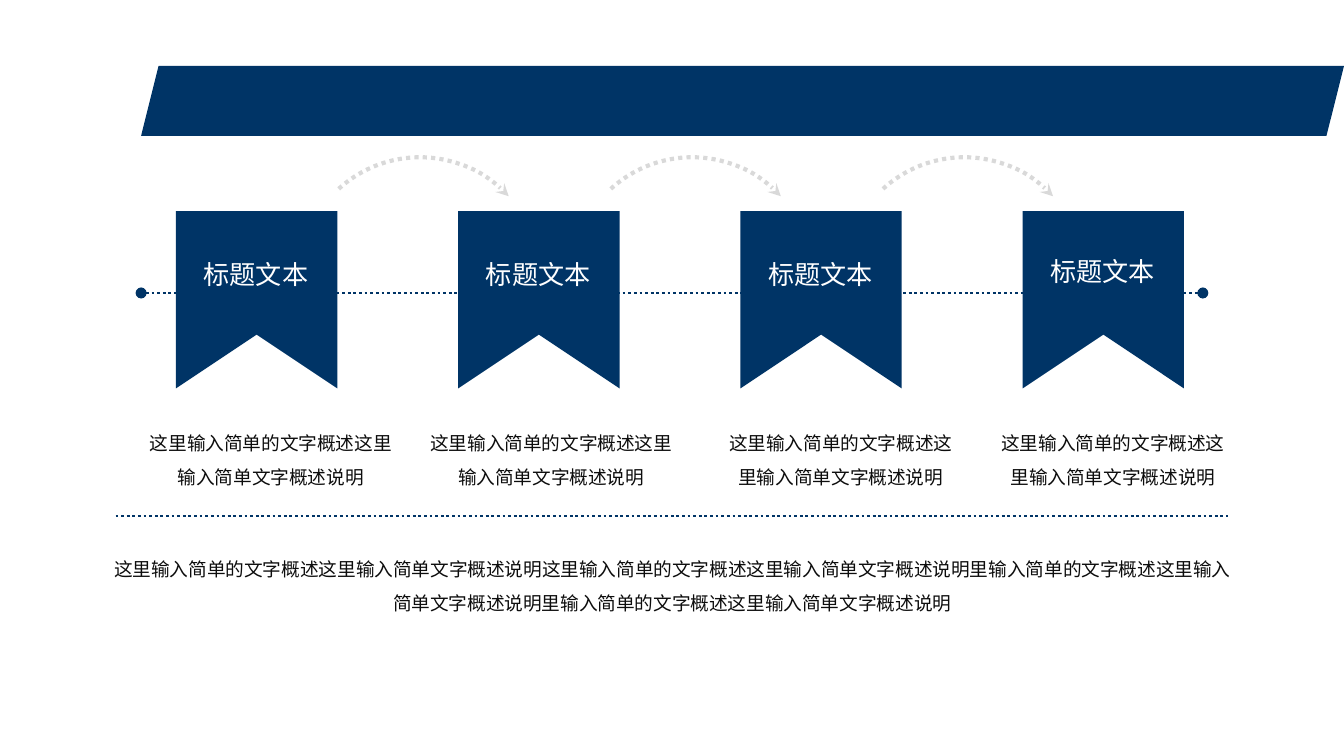
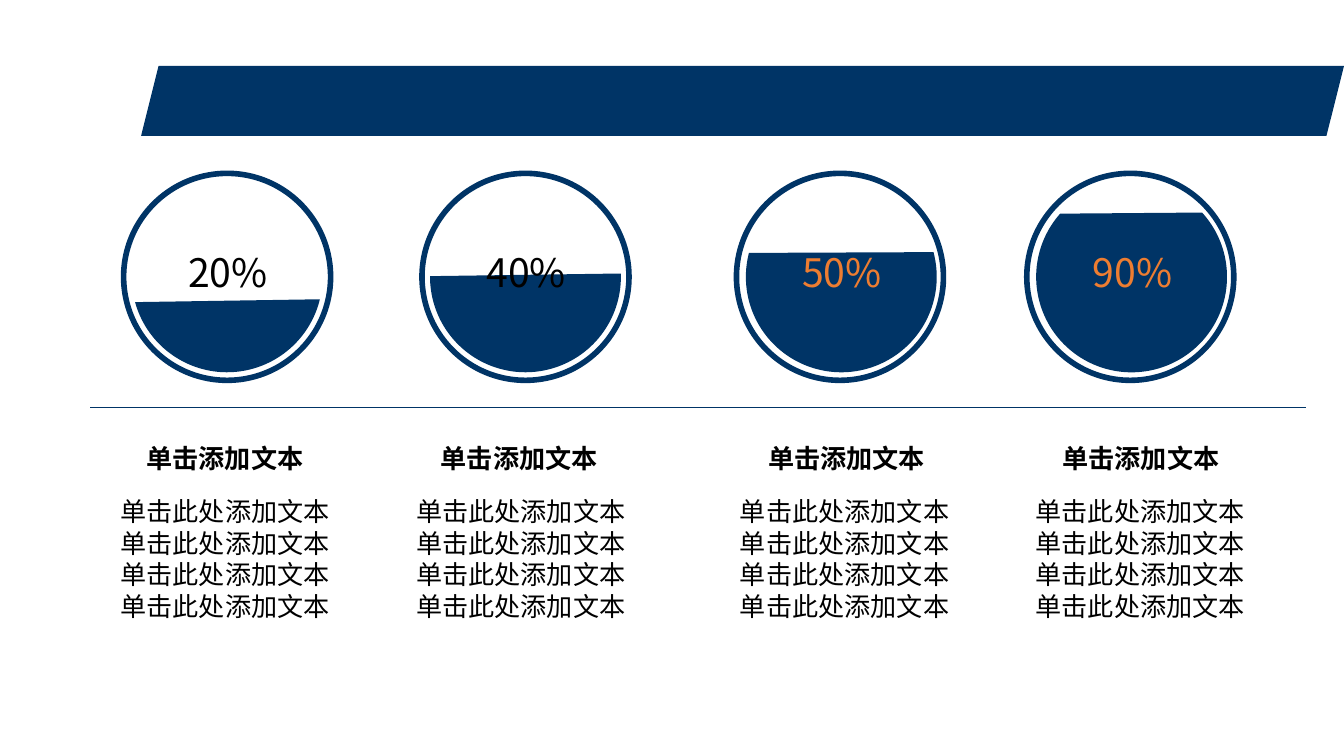
"""Build two slides: a four-step ribbon timeline and a row of percentage gauges."""
from lxml import etree
from pptx import Presentation
from pptx import util as u
from pptx.dml.color import RGBColor
from pptx.enum import dml, shapes, text
from pptx.oxml import ns

NAVY = RGBColor(0x00, 0x34, 0x66)
GREY = RGBColor(0xD9, 0xD9, 0xD9)
ORANGE = RGBColor(0xED, 0x7D, 0x31)
WHITE = RGBColor(0xFF, 0xFF, 0xFF)
BLACK = RGBColor(0x00, 0x00, 0x00)
INK = RGBColor(0x0D, 0x0D, 0x0D)
FONT = "Noto Sans CJK SC"
SHAPE = shapes.MSO_SHAPE


def add_text(s, content, x, y, w, h, size=14, color=BLACK, bold=False, wrap=True,
             inset=None, middle=False, spacing=None):
    tf = s.shapes.add_textbox(u.Inches(x), u.Inches(y), u.Inches(w), u.Inches(h)).text_frame
    tf.word_wrap = wrap
    tf.auto_size = text.MSO_AUTO_SIZE.SHAPE_TO_FIT_TEXT
    if inset is not None:
        tf.margin_left = tf.margin_right = tf.margin_top = tf.margin_bottom = u.Inches(inset)
    if middle:
        tf.vertical_anchor = text.MSO_ANCHOR.MIDDLE
    for i, line in enumerate(content):
        p = tf.add_paragraph() if i else tf.paragraphs[0]
        p.alignment = text.PP_ALIGN.CENTER
        if spacing:
            p.line_spacing = spacing
        r = p.add_run()
        r.text = line
        r.font.size, r.font.bold, r.font.name = u.Pt(size), bold, FONT
        r.font.color.rgb = color
        ea = etree.SubElement(r.font._element, ns.qn("a:ea"))
        ea.set("typeface", FONT)


def style(sp, fill=None, line=None, width=1.5, dotted=False, head=None, tail=None):
    if hasattr(sp, "fill"):
        sp.shadow.inherit = False
        if fill is None:
            sp.fill.background()
        else:
            sp.fill.solid()
            sp.fill.fore_color.rgb = fill
    if line is None:
        sp.line.fill.background()
        return
    sp.line.color.rgb = line
    sp.line.width = u.Pt(width)
    if dotted:
        sp.line.dash_style = dml.MSO_LINE.ROUND_DOT
    spPr = sp.element.spPr
    for tag, kind in (("a:headEnd", head), ("a:tailEnd", tail)):
        if kind:
            etree.SubElement(spPr.find(ns.qn("a:ln")), ns.qn(tag)).set("type", kind)
    if spPr.find(ns.qn("a:effectLst")) is None:
        etree.SubElement(spPr, ns.qn("a:effectLst"))


prs = Presentation()
prs.slide_width = u.Inches(10)
prs.slide_height = prs.slide_width * 9 // 16
steps, gauges = [prs.slides.add_slide(prs.slide_layouts[6]) for _ in range(2)]
for s in (steps, gauges):
    band = s.shapes.add_shape(SHAPE.PARALLELOGRAM, u.Inches(1.05), u.Inches(0.49),
                              u.Inches(8.95), u.Inches(0.52))
    style(band, fill=NAVY)

s = steps
for x1, x2, y, end in ((1.05, 8.95, 2.18, "oval"), (0.86, 9.14, 3.84, None)):
    rule = s.shapes.add_connector(shapes.MSO_CONNECTOR.STRAIGHT, u.Inches(x1), u.Inches(y),
                                  u.Inches(x2), u.Inches(y))
    style(rule, line=NAVY, dotted=True, head=end, tail=end)

summary = "这里输入简单的文字概述这里输入简单文字概述说明"
captions = [(1.08, 1.87), (3.19, 1.82), (5.37, 1.77), (7.39, 1.78)]
for i, (caption_x, caption_w) in enumerate(captions):
    x = 1.31 + 2.1 * i
    fb = s.shapes.build_freeform(u.Inches(x), u.Inches(1.57), scale=1.0)
    corners = [(x + 1.2, 1.57), (x + 1.2, 2.89), (x + 0.6, 2.49), (x, 2.89)]
    fb.add_line_segments([(u.Inches(cx), u.Inches(cy)) for cx, cy in corners])
    style(fb.convert_to_shape(), fill=NAVY)
    add_text(s, ["标题文本"], x + 0.1, 1.85 if i == 3 else 1.87, 0.99, 0.34,
             color=WHITE, wrap=False)
    add_text(s, [summary], caption_x, 3.13, caption_w, 0.5, size=10, color=INK,
             inset=0, middle=True, spacing=1.5)

add_text(s, [summary * 2 + summary[1:] * 2], 0.85, 4.07, 8.3, 0.76, size=10, color=INK,
         inset=0, spacing=1.5)

for i in range(3):
    arc = s.shapes.add_shape(SHAPE.ARC, u.Inches(2.23 + 2.025 * i), u.Inches(1.17),
                             u.Inches(1.79), u.Inches(1.79))
    arc.rotation = 317.5
    style(arc, line=GREY, width=2.25, dotted=True, tail="stealth")

s = gauges
rule = s.shapes.add_connector(shapes.MSO_CONNECTOR.STRAIGHT, u.Inches(0.67), u.Inches(3.03),
                              u.Inches(9.72), u.Inches(3.03))
style(rule, line=NAVY, width=0.75)

levels = [
    ("20%", 0.92, 0.98, 328.6, 117.61, BLACK, 0.81, 1.73, 0.75),
    ("40%", 3.14, 3.2, 313, 136.44, BLACK, 2.98, 1.77, 2.95),
    ("50%", 5.48, 5.55, 300, 152.72, ORANGE, 5.41, 1.78, 5.36),
    ("90%", 7.64, 7.71, 272.6, 185.34, ORANGE, 7.68, 1.62, 7.56),
]
for label, ring_x, chord_x, turn, sweep, color, head_x, head_w, body_x in levels:
    chord = s.shapes.add_shape(SHAPE.CHORD, u.Inches(chord_x), u.Inches(1.35),
                               u.Inches(1.42), u.Inches(1.42))
    chord.adjustments[0], chord.adjustments[1] = 27, sweep
    chord.rotation = turn
    style(chord, fill=NAVY)
    ring = s.shapes.add_shape(SHAPE.OVAL, u.Inches(ring_x), u.Inches(1.29),
                              u.Inches(1.54), u.Inches(1.54))
    style(ring, line=NAVY, width=3)
    add_text(s, [label], chord_x + 0.31, 1.8, 0.81, 0.45, size=21, color=color, wrap=False)
    add_text(s, ["单击添加文本"], head_x, 3.24, head_w, 0.34, bold=True)
    add_text(s, ["单击此处添加文本"] * 4, body_x, 3.64, 1.85, 1.04)

prs.save("out.pptx")
